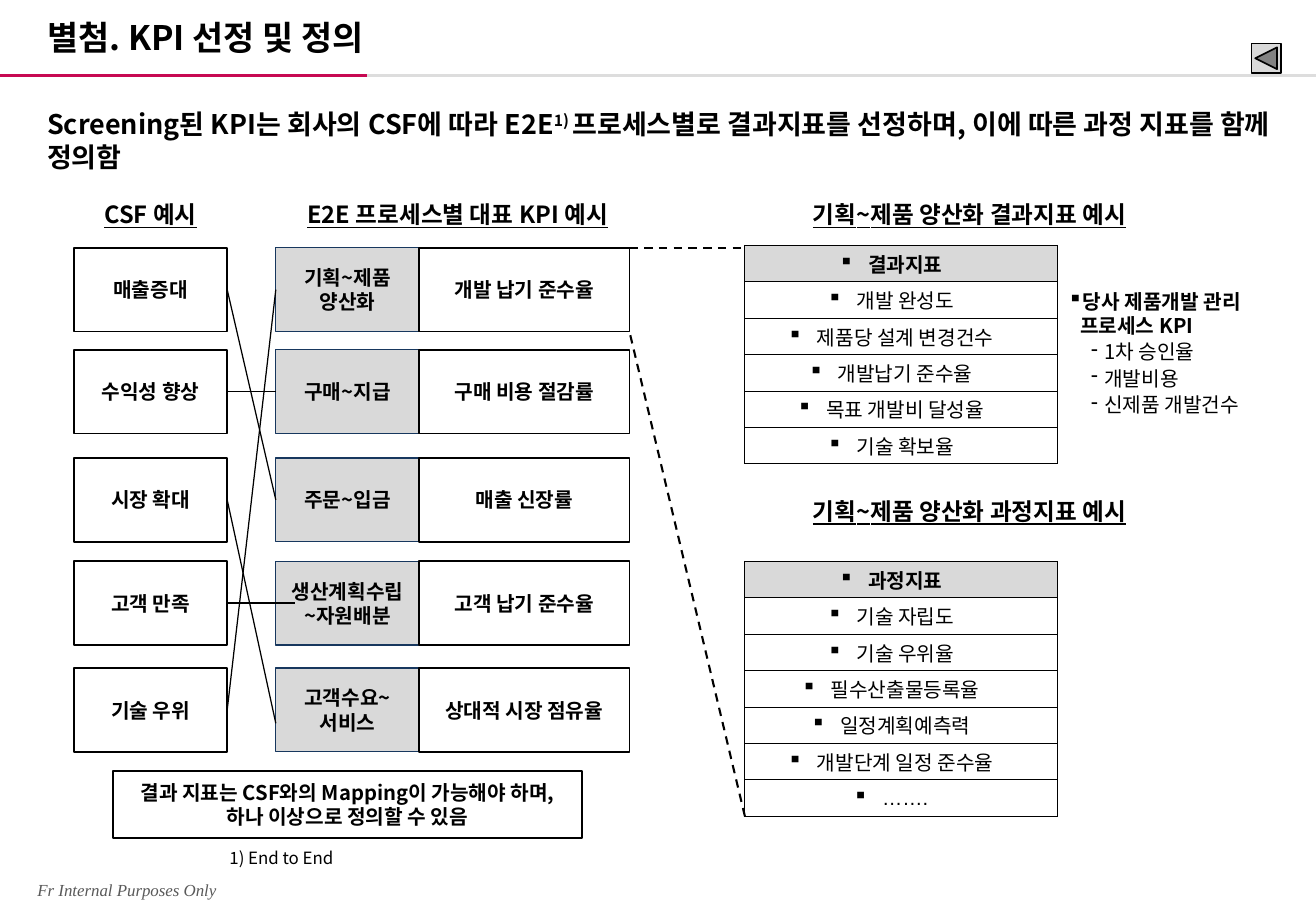
"""Build the appendix slide on selecting and defining KPIs."""
from dataclasses import dataclass

from lxml import etree
from pptx import Presentation
from pptx.dml.color import RGBColor
from pptx.enum.dml import MSO_LINE
from pptx.enum.shapes import MSO_CONNECTOR, MSO_SHAPE
from pptx.enum.text import MSO_ANCHOR, PP_ALIGN
from pptx.oxml.ns import qn
from pptx.util import Inches, Pt

RECT, BACK = MSO_SHAPE.RECTANGLE, MSO_SHAPE.ACTION_BUTTON_BACK_OR_PREVIOUS
STRAIGHT, DASH = MSO_CONNECTOR.STRAIGHT, MSO_LINE.DASH
TOP, MIDDLE, BOTTOM = MSO_ANCHOR.TOP, MSO_ANCHOR.MIDDLE, MSO_ANCHOR.BOTTOM
LEFT, CENTER, JUSTIFY = PP_ALIGN.LEFT, PP_ALIGN.CENTER, PP_ALIGN.JUSTIFY


@dataclass(frozen=True)
class Theme:
    """Colours, fonts and type sizes."""
    ink: str = "000000"
    grey: str = "D9D9D9"
    navy: str = "17375E"
    accent: str = "C70952"
    rule: str = "DDDDDD"
    muted: str = "595959"
    font: str = "Noto Sans CJK KR"
    table_font: str = "Arial"
    footer_font: str = "Times New Roman"
    title: int = 20
    lead: int = 16
    heading: int = 14
    body: int = 12
    small: int = 10


T = Theme()
W, H = 10.83, 7.5

TITLE = "별첨. KPI 선정 및 정의"
LEAD = [("Screening된 KPI는 회사의 CSF에 따라 E2E", False), ("1) ", True),
        ("프로세스별로 결과지표를 선정하며, 이에 따른 과정 지표를 함께 정의함", False)]
HEADINGS = [
    ("CSF 예시", 0.61, 1.6, 1.26),
    ("E2E 프로세스별 대표 KPI 예시", 2.19, 1.6, 3.15),
    ("기획~제품 양산화 결과지표 예시", 5.42, 1.6, 5.12),
    ("기획~제품 양산화 과정지표 예시", 5.42, 4.04, 5.12),
]
ROWS = [
    ("매출증대", "기획~제품 양산화", "개발 납기 준수율"),
    ("수익성 향상", "구매~지급", "구매 비용 절감률"),
    ("시장 확대", "주문~입금", "매출 신장률"),
    ("고객 만족", "생산계획수립~자원배분", "고객 납기 준수율"),
    ("기술 우위", "고객수요~ 서비스", "상대적 시장 점유율"),
]
ROW_TOPS = [2.04, 2.88, 3.77, 4.62, 5.5]
ROW_H = 0.69
COLUMNS = [(0.61, 1.26, None, T.ink, 1), (2.27, 1.18, T.grey, T.navy, 0.75),
           (3.45, 1.73, None, T.ink, 1)]
LINKS = [(0, 2, 0, 0), (1, 1, 0, 0), (2, 4, 0, 0.11), (3, 3, 0.16, 0), (4, 0, 0, 0)]
NOTE = "결과 지표는 CSF와의 Mapping이 가능해야 하며, 하나 이상으로 정의할 수 있음"
TABLE_X, TABLE_W, TABLE_ROW = 6.13, 2.57, 0.3
TABLES = [
    (2.02, ["결과지표", "개발 완성도", "제품당 설계 변경건수", "개발납기 준수율",
            "목표 개발비 달성율", "기술 확보율"]),
    (4.62, ["과정지표", "기술 자립도", "기술 우위율", "필수산출물등록율",
            "일정계획예측력", "개발단계 일정 준수율", "……."]),
]
SIDE_HEAD = "당사 제품개발 관리 프로세스 KPI"
SIDE_ITEMS = ["1차 승인율", "개발비용", "신제품 개발건수"]


def rgb(value):
    return RGBColor.from_string(value)


def style(p, size, bold=False, align=LEFT, color=T.ink, font=T.font, before=0.05):
    p.alignment = align
    p.space_before, p.space_after = Pt(size * before), Pt(size * 0.05)
    p.font.size, p.font.bold, p.font.name = Pt(size), bold, font
    p.font.color.rgb = rgb(color)
    east = etree.SubElement(p.font._element, qn("a:ea"))
    east.set("typeface", T.font)


def bullet(p, char, margin, hang):
    props = p._p.get_or_add_pPr()
    props.set("marL", str(Inches(margin)))
    props.set("indent", str(-Inches(hang)))
    mark = etree.Element(qn("a:buChar"), char=char)
    props.find(qn("a:defRPr")).addprevious(mark)


def text_box(s, box, anchor=TOP):
    tf = s.shapes.add_textbox(*map(Inches, box)).text_frame
    tf.word_wrap, tf.vertical_anchor = True, anchor
    return tf


def label(s, box, text, size, anchor=TOP, **look):
    p = text_box(s, box, anchor).paragraphs[0]
    p.text = text
    style(p, size, **look)
    return p


def shape(s, kind, box, text="", fill=None, line=T.ink, width=1):
    sp = s.shapes.add_shape(kind, *map(Inches, box))
    sp.shadow.inherit = False
    if fill:
        sp.fill.solid()
        sp.fill.fore_color.rgb = rgb(fill)
    else:
        sp.fill.background()
    sp.line.color.rgb, sp.line.width = rgb(line), Pt(width)
    if text:
        tf = sp.text_frame
        tf.word_wrap, tf.vertical_anchor = True, MIDDLE
        tf.paragraphs[0].text = text
        style(tf.paragraphs[0], T.body, True, CENTER)


def line(s, start, end, color=T.ink, width=0.75, dash=None):
    cx = s.shapes.add_connector(STRAIGHT, *map(Inches, start + end))
    cx.line.color.rgb, cx.line.width = rgb(color), Pt(width)
    if dash:
        cx.line.dash_style = dash
    etree.SubElement(cx._element.spPr, qn("a:effectLst"))


def border(cell):
    props = cell._tc.get_or_add_tcPr()
    for i, side in enumerate(("lnL", "lnR", "lnT", "lnB")):
        ln = etree.Element(qn("a:" + side), w=str(Pt(0.5)))
        solid = etree.SubElement(ln, qn("a:solidFill"))
        etree.SubElement(solid, qn("a:srgbClr"), val=T.ink)
        props.insert(i, ln)


def indicator_table(s, top, items):
    frame = s.shapes.add_table(len(items), 1, Inches(TABLE_X), Inches(top),
                               Inches(TABLE_W), Inches(TABLE_ROW * len(items)))
    for i, text in enumerate(items):
        cell = frame.table.cell(i, 0)
        cell.vertical_anchor = MIDDLE
        cell.margin_left, cell.margin_right = Inches(0.03), Inches(0.2)
        cell.margin_top = cell.margin_bottom = Inches(0.02)
        if i:
            cell.fill.background()
        else:
            cell.fill.solid()
            cell.fill.fore_color.rgb = rgb(T.grey)
        border(cell)
        p = cell.text_frame.paragraphs[0]
        p.text = text
        style(p, T.body, i == 0, CENTER, font=T.table_font)
        bullet(p, "▪", 0.24, 0.24)


def main():
    prs = Presentation()
    prs.slide_width, prs.slide_height = Inches(W), Inches(H)
    s = prs.slides.add_slide(prs.slide_layouts[6])

    footer = label(s, (0.21, 7.19, 2.68, 0.27), "Fr Internal Purposes Only", T.small,
                   color=T.muted, font=T.footer_font)
    footer.font.italic = True
    line(s, (0, 0.62), (3.02, 0.62), T.accent, 1.5)
    line(s, (3.02, 0.62), (W, 0.62), T.rule, 1.5)
    label(s, (0.29, 0.07, 5.92, 0.45), TITLE, T.title, BOTTOM, bold=True, align=JUSTIFY)
    lead = text_box(s, (0.29, 0.84, 10.26, 0.67)).paragraphs[0]
    for text, raised in LEAD:
        r = lead.add_run()
        r.text = text
        if raised:
            r.font._element.set("baseline", "30000")
    style(lead, T.lead, True, JUSTIFY, before=0.2)

    for text, x, y, width in HEADINGS:
        p = label(s, (x, y, width, 0.34), text, T.heading, bold=True, align=CENTER)
        p.font.underline = True
    for texts, top in zip(ROWS, ROW_TOPS):
        for text, (x, width, fill, edge, weight) in zip(texts, COLUMNS):
            shape(s, RECT, (x, top, width, ROW_H), text, fill, edge, weight)
    shape(s, RECT, (0.93, 6.35, 3.86, 0.55), NOTE)
    label(s, (1.79, 6.92, 1.26, 0.29), "1) End to End", T.small, MIDDLE)

    for top, items in TABLES:
        indicator_table(s, top, items)
    kpi_right = COLUMNS[2][0] + COLUMNS[2][1]
    line(s, (kpi_right, ROW_TOPS[0]), (TABLE_X, ROW_TOPS[0]), width=1.25, dash=DASH)
    table_end = TABLES[1][0] + TABLE_ROW * len(TABLES[1][1])
    line(s, (TABLE_X, table_end), (kpi_right, ROW_TOPS[0] + ROW_H), width=1.25, dash=DASH)
    shape(s, BACK, (10.3, 0.36, 0.24, 0.24), fill=T.grey)

    side = text_box(s, (8.69, 2.33, 1.84, 1.17))
    for i, text in enumerate([SIDE_HEAD] + SIDE_ITEMS):
        p = side.add_paragraph() if i else side.paragraphs[0]
        p.text = text
        style(p, T.body, i == 0)
        bullet(p, *(("-", 0.3, 0.11) if i else ("▪", 0.1, 0.1)))

    csf_right, process_x = COLUMNS[0][0] + COLUMNS[0][1], COLUMNS[1][0]
    for csf, process, dx, dy in LINKS:
        line(s, (csf_right, ROW_TOPS[csf] + ROW_H / 2),
             (process_x + dx, ROW_TOPS[process] + ROW_H / 2 + dy))
    prs.save("out.pptx")


if __name__ == "__main__":
    main()
